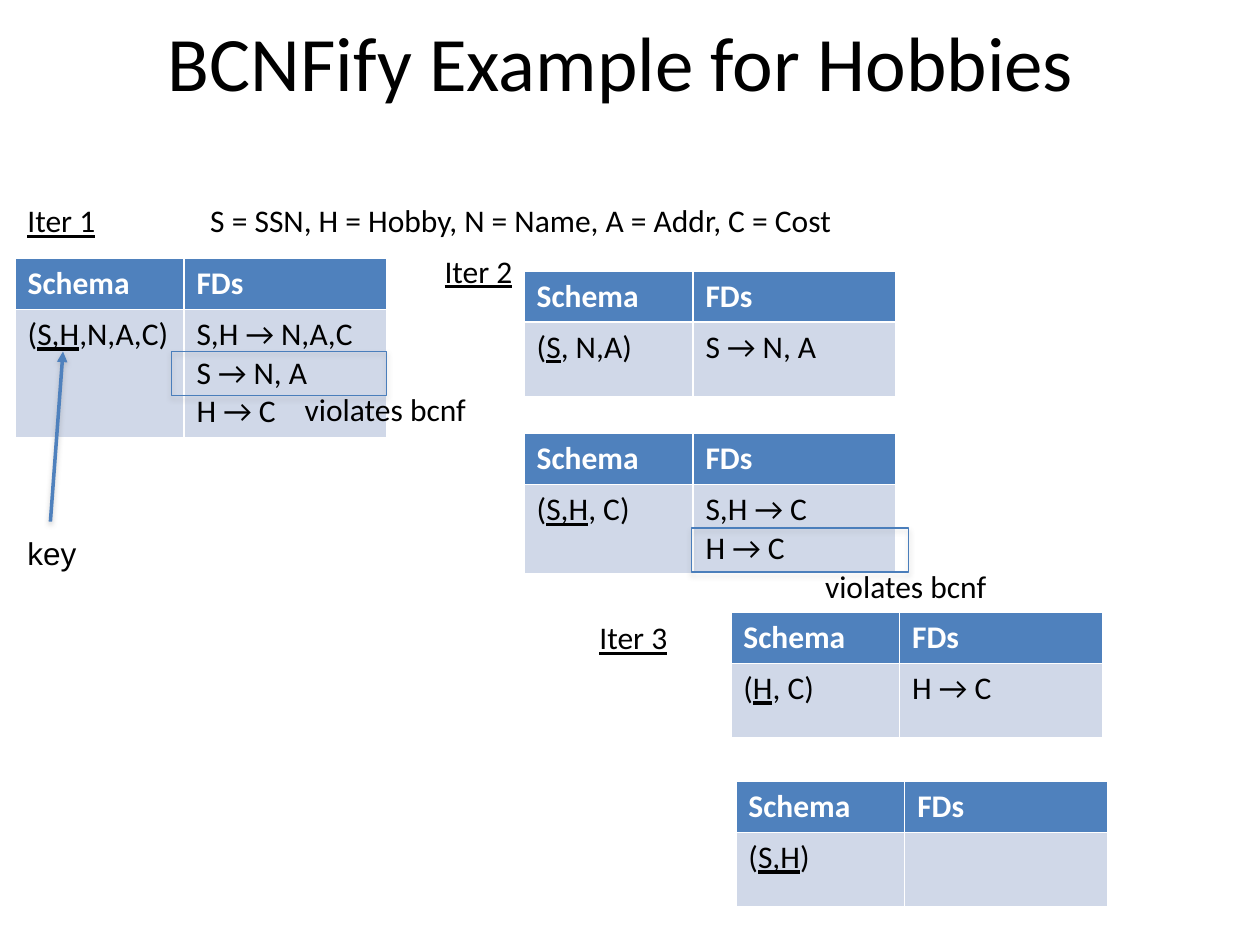
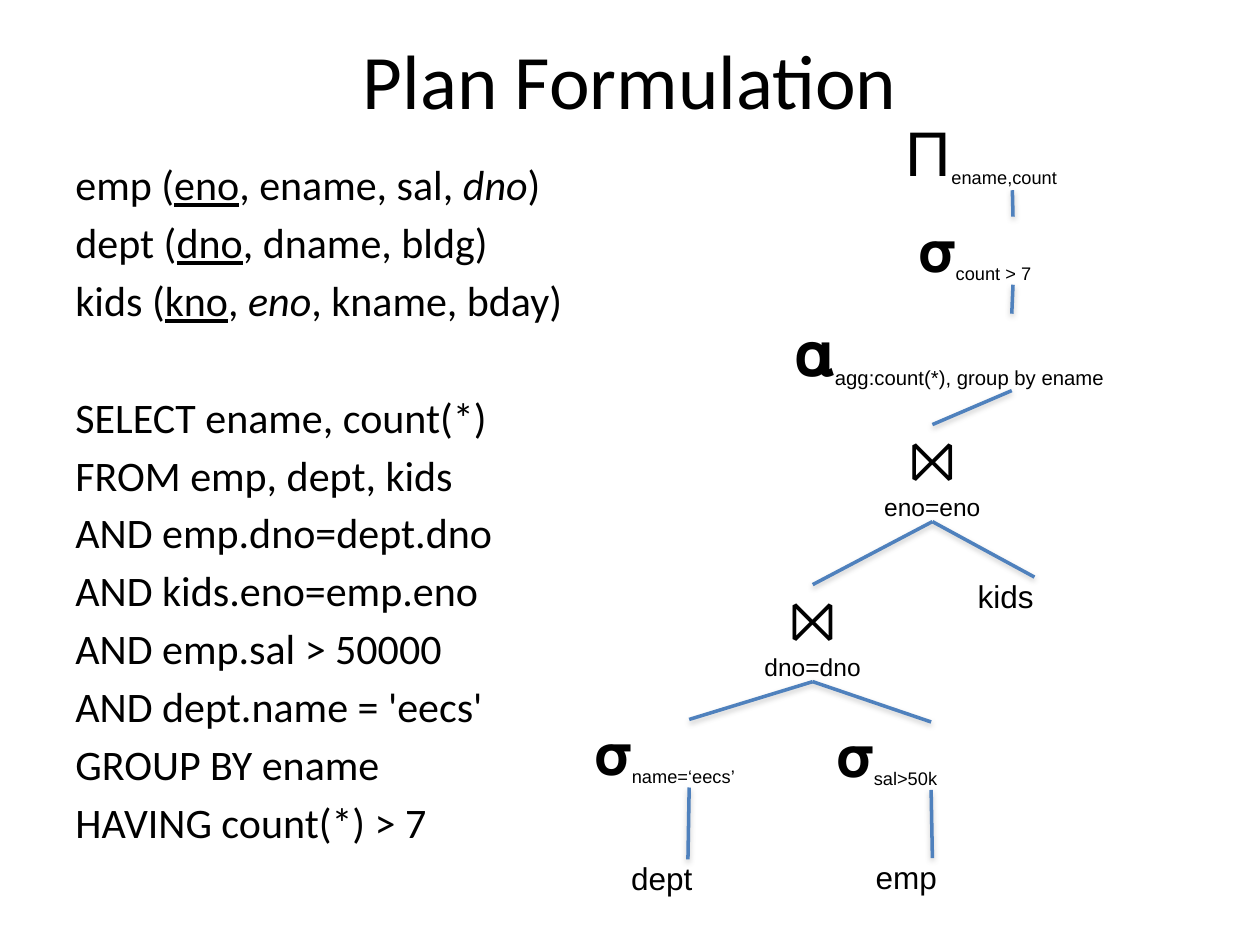
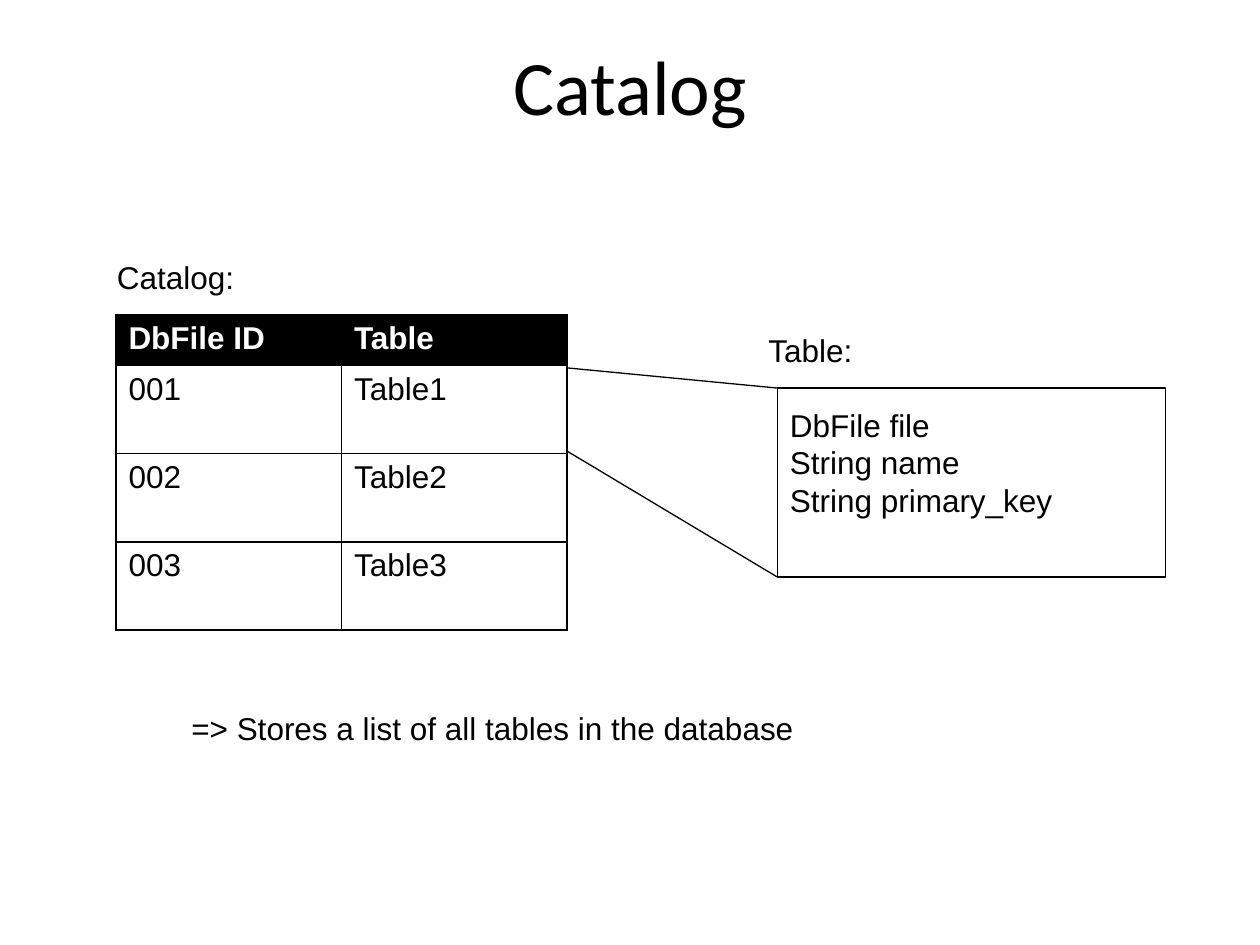
from dataclasses import dataclass

from lxml import etree
from pptx import Presentation
from pptx.dml.color import RGBColor
from pptx.enum.shapes import MSO_CONNECTOR, MSO_SHAPE
from pptx.enum.text import MSO_ANCHOR, PP_ALIGN
from pptx.oxml import parse_xml
from pptx.oxml.ns import nsdecls, qn
from pptx.util import Inches, Pt

LEFT, CENTER = PP_ALIGN.LEFT, PP_ALIGN.CENTER
MIDDLE = MSO_ANCHOR.MIDDLE
STRAIGHT = MSO_CONNECTOR.STRAIGHT
RECTANGLE = MSO_SHAPE.RECTANGLE
BOTTOM_SITE, TOP_SITE = 2, 0


@dataclass(frozen=True)
class Theme:
    black: str = "000000"
    white: str = "FFFFFF"
    accent: str = "4F81BD"
    band: str = "D0D8E8"
    frame: str = "4A7EBB"
    shadow: str = "808080"
    heading: str = "Calibri"
    label: str = "Arial"
    title: int = 44
    code: int = 24
    body: int = 18
    join: int = 32
    condition: int = 14


T = Theme()
U = {"underline": True}
I = {"italic": True}


def write(target, paras, at=None, inset=None, font=T.heading, size=T.body,
          color=T.black, bold=False, underline=False, align=LEFT, space=0):
    """Fill a text frame, or a new text box if at is given.

    A paragraph is a string or a list of runs; a run is a string or a
    (string, overrides) pair.
    """
    box = None
    tf = target
    if at:
        box = target.shapes.add_textbox(*map(Inches, at))
        tf = box.text_frame
        tf.word_wrap = True
    if inset is not None:
        tf.margin_left = tf.margin_right = Inches(inset)
        tf.margin_top = tf.margin_bottom = Inches(inset)
    for i, runs in enumerate([paras] if isinstance(paras, str) else paras):
        p = tf.paragraphs[0] if i == 0 else tf.add_paragraph()
        p.alignment = align
        if i and space:
            p.space_before = Pt(space)
        for run in [runs] if isinstance(runs, str) else runs:
            text, own = (run, {}) if isinstance(run, str) else run
            r = p.add_run()
            r.text = text
            r.font.name = font
            r.font.size = Pt(own.get("size", size))
            r.font.color.rgb = RGBColor.from_string(color)
            r.font.bold = bold
            r.font.underline = own.get("underline", underline)
            r.font.italic = own.get("italic", False)
            if "baseline" in own:
                r.font._element.set("baseline", str(own["baseline"] * 1000))
    return box


def outline(sp, color, width, shadow=None):
    """Set the line of a shape or connector; shadow is (distance pt, opacity %)."""
    sp.line.color.rgb = RGBColor.from_string(color)
    sp.line.width = Pt(width)
    effects = etree.SubElement(sp._element.spPr, qn("a:effectLst"))
    if shadow:
        distance, opacity = shadow
        effects.append(parse_xml(
            f'<a:outerShdw {nsdecls("a")} blurRad="{Pt(3.1)}" dist="{Pt(distance)}" '
            f'dir="5400000" rotWithShape="0"><a:srgbClr val="{T.shadow}">'
            f'<a:alpha val="{opacity * 1000}"/></a:srgbClr></a:outerShdw>'))


prs = Presentation()
prs.slide_width, prs.slide_height = Inches(10), Inches(7.5)

slides = []
for title, at in [
    ("BCNFify Example for Hobbies", (0.43, -0.14, 9, 1.25)),
    ("Plan Formulation", (0.5, 0, 9, 1.25)),
    ("Catalog", (0.75, 0.17, 8.5, 1)),
]:
    s = prs.slides.add_slide(prs.slide_layouts[5])
    sp = s.shapes.title
    sp.left, sp.top, sp.width, sp.height = map(Inches, at)
    sp.text_frame.vertical_anchor = MIDDLE
    write(sp.text_frame, title, size=T.title, align=CENTER)
    slides.append(s)
hobbies, plan, catalog = slides

# BCNF decomposition
LINE_SHADOW, FRAME_SHADOW = (1.6, 38), (1.8, 35)
HEADER_HEIGHT = 0.4
COLUMNS = (1.34, 1.61)
for left, top, body_height, schema, fds in [
    (0.12, 2.05, 1, ["(", ("S,H", U), ",N,A,C)"], ["S,H → N,A,C", "S → N, A", "H → C"]),
    (4.16, 2.15, 0.59, ["(", ("S", U), ", N,A)"], ["S → N, A"]),
    (4.16, 3.44, 0.7, ["(", ("S,H", U), ", C)"], ["S,H → C", "H → C"]),
    (5.8, 4.86, 0.59, ["(", ("H", U), ", C)"], ["H → C"]),
    (5.84, 6.2, 0.59, ["(", ("S,H", U), ")"], []),
]:
    table = hobbies.shapes.add_table(
        2, 2, Inches(left), Inches(top), Inches(sum(COLUMNS)),
        Inches(HEADER_HEIGHT + body_height)).table
    table.rows[0].height = Inches(HEADER_HEIGHT)
    table.rows[1].height = Inches(body_height)
    for col, (heading, body) in enumerate([("Schema", [schema]), ("FDs", fds)]):
        table.columns[col].width = Inches(COLUMNS[col])
        head, cell = table.cell(0, col), table.cell(1, col)
        for c, fill in [(head, T.accent), (cell, T.band)]:
            c.fill.solid()
            c.fill.fore_color.rgb = RGBColor.from_string(fill)
        write(head.text_frame, heading, color=T.white, bold=True)
        write(cell.text_frame, body)

for frame_at, note_at in [
    ((1.36, 2.79, 1.71, 0.35), (2.32, 3.05, 1.51, 0.4)),
    ((5.49, 4.19, 1.72, 0.35), (6.45, 4.45, 1.51, 0.4)),
]:
    frame = hobbies.shapes.add_shape(RECTANGLE, *map(Inches, frame_at))
    frame.fill.background()
    outline(frame, T.frame, 0.75, FRAME_SHADOW)
    write(hobbies, "violates bcnf", note_at)

write(hobbies, "S = SSN, H = Hobby, N = Name, A = Addr, C = Cost", (1.57, 1.55, 5.18, 0.4))
for i, (left, top) in enumerate([(0.12, 1.55), (3.43, 1.95), (4.66, 4.86)], 1):
    write(hobbies, f"Iter {i}", (left, top, 1.24, 0.4), underline=True)
write(hobbies, "key", (0.12, 4.19, 0.9, 0.4), font=T.label)
arrow = hobbies.shapes.add_connector(STRAIGHT, *map(Inches, (0.5, 2.79, 0.4, 4.14)))
outline(arrow, T.accent, 2, LINE_SHADOW)
etree.SubElement(arrow.line._ln, qn("a:headEnd")).set("type", "triangle")

# Query and its plan tree
query = write(plan, [
    ["emp (", ("eno", U), ", ename, sal, ", ("dno", I), ")"],
    ["dept (", ("dno", U), ", dname, bldg)"],
    ["kids (", ("kno", U), ", ", ("eno", I), ", kname, bday)"],
    "SELECT ename, count(*)",
    "FROM emp, dept, kids",
    "AND emp.dno=dept.dno",
    "AND kids.eno=emp.eno",
    "AND emp.sal > 50000",
    "AND dept.name = 'eecs'",
    "GROUP BY ename",
    "HAVING count(*) > 7",
], (0.5, 1.21, 4.32, 4.95), size=T.code, space=4.3)
query.text_frame.paragraphs[3].space_before = Pt(37.8)

nodes = {}
for name, symbol, size, subscript, sub_size, at in [
    ("project", "Π", 36, "ename,count", 18, (7.19, 0.9, 1.69, 0.61)),
    ("having", "𝛔", 32, "count > 7", 18, (7.29, 1.72, 1.5, 0.54)),
    ("aggregate", "𝛂", 36, "agg:count(*), group by ename", 20, (6.31, 2.49, 3.44, 0.61)),
    ("dept filter", "𝛔", 32, "name=‘eecs’", 18, (4.72, 5.71, 1.5, 0.54)),
    ("emp filter", "𝛔", 32, "sal>50k", 18, (6.64, 5.73, 1.5, 0.54)),
]:
    runs = [symbol, (subscript, {"size": sub_size, "baseline": -25})]
    nodes[name] = write(plan, [runs], at, inset=0, font=T.label, size=size)
for key, left, top in [("eno", 6.85, 3.37), ("dno", 5.9, 4.64)]:
    condition = [(f"{key}={key}", {"size": T.condition})]
    nodes[key] = write(plan, ["⨝", condition], (left, top, 1.1, 0.77), inset=0,
                       font=T.label, size=T.join, align=CENTER)
for relation, left, top in [("dept", 5.01, 6.82), ("emp", 6.95, 6.81), ("kids", 7.76, 4.58)]:
    nodes[relation] = write(plan, relation, (left, top, 0.9, 0.3), inset=0, font=T.label)

for parent, child in [
    ("project", "having"), ("having", "aggregate"), ("aggregate", "eno"),
    ("eno", "dno"), ("eno", "kids"), ("dno", "dept filter"), ("dno", "emp filter"),
    ("dept filter", "dept"), ("emp filter", "emp"),
]:
    edge = plan.shapes.add_connector(STRAIGHT, 0, 0, 0, 0)
    edge.begin_connect(nodes[parent], BOTTOM_SITE)
    edge.end_connect(nodes[child], TOP_SITE)
    outline(edge, T.accent, 2, LINE_SHADOW)

# Catalog table and the contents of one entry
entry = catalog.shapes.add_shape(RECTANGLE, *map(Inches, (6.17, 3.08, 3.08, 1.5)))
entry.fill.background()
outline(entry, T.black, 0.75)
for text, at in [
    ("Table:", (6, 2.58, 1.1, 0.51)),
    (["DbFile file", "String name", "String primary_key"], (6.17, 3.17, 3.08, 1.31)),
    ("Catalog:", (0.83, 2, 1.45, 0.51)),
    ("=> Stores a list of all tables in the database", (1.42, 5.58, 7.5, 0.51)),
]:
    write(catalog, text, at, font=T.label)

rows = [("DbFile ID", "Table")] + [(f"00{n}", f"Table{n}") for n in (1, 2, 3)]
table = catalog.shapes.add_table(
    len(rows), 2, *map(Inches, (0.92, 2.5, 3.58, 2.5))).table
for i, row in enumerate(rows):
    fill, color = (T.white, T.black) if i else (T.black, T.white)
    table.rows[i].height = Inches(0.7 if i else HEADER_HEIGHT)
    for j, text in enumerate(row):
        cell = table.cell(i, j)
        write(cell.text_frame, text, font=T.label, color=color, bold=i == 0)
        tc_pr = cell._tc.get_or_add_tcPr()
        for side in "LRTB":
            tc_pr.append(parse_xml(
                f'<a:ln{side} {nsdecls("a")} w="{Pt(1)}"><a:solidFill>'
                f'<a:srgbClr val="{T.black}"/></a:solidFill></a:ln{side}>'))
        cell.fill.solid()
        cell.fill.fore_color.rgb = RGBColor.from_string(fill)

for start, end in [((4.5, 2.92), (6.17, 3.08)), ((4.5, 3.58), (6.17, 4.58))]:
    line = catalog.shapes.add_connector(STRAIGHT, *map(Inches, start + end))
    outline(line, T.black, 0.75)

prs.save("out.pptx")
